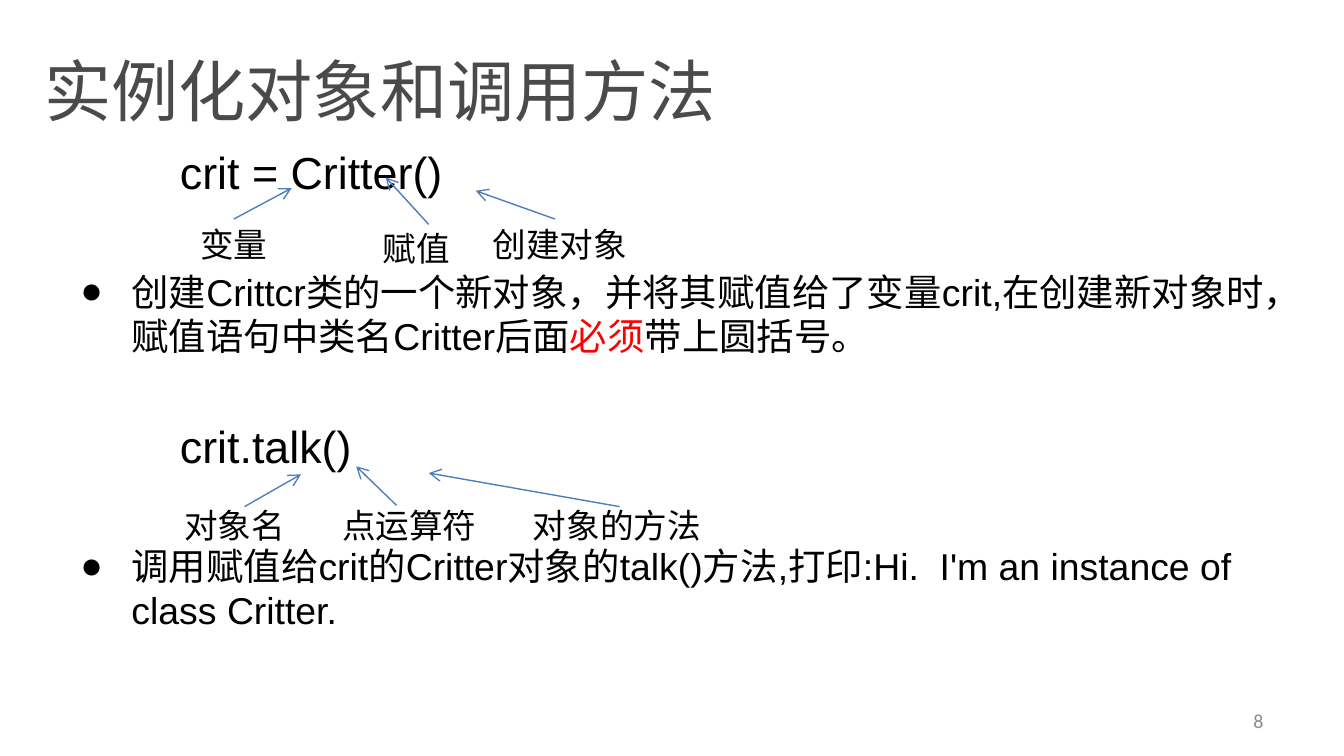
from dataclasses import dataclass

from lxml.etree import SubElement
from pptx import Presentation
from pptx.dml.color import RGBColor
from pptx.enum.shapes import MSO_CONNECTOR
from pptx.enum.text import MSO_ANCHOR, PP_ALIGN
from pptx.oxml.ns import qn
from pptx.util import Inches, Pt

COLORS = {
    "text": "000000",
    "title": "4A4A4A",
    "accent": "FF0000",
    "arrow": "4B7EBC",
    "number": "8C8C8C",
}
LABEL_FORMAT = {"size": Pt(18), "name": "Calibri"}
CODE_FORMAT = {"size": Pt(24), "name": "Arial"}
BODY_FORMAT = {"size": Pt(20), "name": "Arial"}
TITLE_FORMAT = {"size": Pt(36), "name": "Noto Sans CJK SC"}
NUMBER_FORMAT = {"size": Pt(10.7), "name": "Calibri"}
CODE_INDENT = 0.74
BULLET_INDENT = 0.38


@dataclass
class Label:
    """A caption with an arrow that points at a part of the code."""

    text: str
    frame: tuple[float, float, float, float]
    start: tuple[float, float]
    end: tuple[float, float]


@dataclass
class Paragraph:
    """A code line or a bulleted explanation, as (text, color) spans."""

    spans: list[tuple[str, str]]
    space_before: float
    is_code: bool = False


LABELS = [
    Label("变量", (1.32, 1.63, 0.84, 0.37), (1.74, 1.63), (2.17, 1.40)),
    Label("赋值", (2.65, 1.63, 0.89, 0.43), (3.19, 1.67), (2.87, 1.32)),
    Label("创建对象", (3.45, 1.63, 1.43, 0.37), (4.13, 1.63), (3.54, 1.42)),
    Label("对象名", (1.19, 3.69, 1.11, 0.43), (1.82, 3.77), (2.24, 3.53)),
    Label("点运算符", (2.42, 3.69, 1.25, 0.43), (2.95, 3.76), (2.65, 3.47)),
    Label("对象的方法", (3.67, 3.69, 1.84, 0.43), (4.61, 3.77), (3.19, 3.52)),
]
PARAGRAPHS = [
    Paragraph([("crit = Critter()", "text")], 5.5, is_code=True),
    Paragraph(
        [
            ("创建Crittcr类的一个新对象，并将其赋值给了变量crit,"
             "在创建新对象时，赋值语句中类名Critter后面", "text"),
            ("必须", "accent"),
            ("带上圆括号。", "text"),
        ],
        37.5,
    ),
    Paragraph([("crit.talk()", "text")], 32.5, is_code=True),
    Paragraph(
        [("调用赋值给crit的Critter对象的talk()方法,打印:Hi.  "
          "I'm an instance of class Critter.", "text")],
        37.5,
    ),
]


def add_span(para, text: str, color: str, font_format: dict) -> None:
    """Append one formatted run to a paragraph."""
    span = para.add_run()
    span.text = text
    for name, value in font_format.items():
        setattr(span.font, name, value)
    span.font.color.rgb = RGBColor.from_string(COLORS[color])


def add_box(page, frame: tuple, anchor=MSO_ANCHOR.TOP):
    """Add a wrapping text box and return its text frame."""
    box = page.shapes.add_textbox(*(Inches(length) for length in frame))
    box.text_frame.word_wrap = True
    box.text_frame.vertical_anchor = anchor
    return box.text_frame


def add_line_of_text(page, frame: tuple, text: str, color: str, font_format: dict,
                     para_format: dict, anchor=MSO_ANCHOR.MIDDLE) -> None:
    """Add a text box that holds a single paragraph."""
    para = add_box(page, frame, anchor).paragraphs[0]
    for name, value in para_format.items():
        setattr(para, name, value)
    add_span(para, text, color, font_format)


def add_arrow(page, start: tuple, end: tuple) -> None:
    """Draw a thin line with an open arrowhead at its end."""
    points = (Inches(length) for length in start + end)
    arrow = page.shapes.add_connector(MSO_CONNECTOR.STRAIGHT, *points)
    arrow.line.color.rgb = RGBColor.from_string(COLORS["arrow"])
    arrow.line.width = Pt(0.75)
    SubElement(arrow.line._get_or_add_ln(), qn("a:tailEnd"), type="arrow")
    SubElement(arrow._element.spPr, qn("a:effectLst"))


def add_body(page) -> None:
    """Write the code lines and their bulleted explanations."""
    frame = add_box(page, (0.5, 1.03, 9.32, 4.57))
    for index, item in enumerate(PARAGRAPHS):
        para = frame.add_paragraph() if index else frame.paragraphs[0]
        para.space_before = Pt(item.space_before)
        properties = para._p.get_or_add_pPr()
        if item.is_code:
            properties.set("marL", str(Inches(CODE_INDENT)))
        else:
            properties.set("marL", str(Inches(BULLET_INDENT)))
            properties.set("indent", str(-Inches(BULLET_INDENT)))
            SubElement(properties, qn("a:buFont"), typeface="Arial")
            SubElement(properties, qn("a:buChar"), char="●")
        for text, color in item.spans:
            add_span(para, text, color, CODE_FORMAT if item.is_code else BODY_FORMAT)


def main() -> None:
    """Build the slide and save it."""
    deck = Presentation()
    deck.slide_width = Inches(10)
    deck.slide_height = deck.slide_width * 9 // 16
    page = deck.slides.add_slide(deck.slide_layouts[6])
    add_body(page)
    add_line_of_text(page, (7.17, 5.21, 2.33, 0.3), "8", "number",
                     NUMBER_FORMAT, {"alignment": PP_ALIGN.RIGHT})
    add_line_of_text(page, (0.23, 0.02, 6.13, 1.01), "实例化对象和调用方法", "title",
                     TITLE_FORMAT, {"line_spacing": 1.5}, MSO_ANCHOR.TOP)
    for label in LABELS:
        add_line_of_text(page, label.frame, label.text, "text",
                         LABEL_FORMAT, {"alignment": PP_ALIGN.CENTER})
        add_arrow(page, label.start, label.end)
    deck.save("out.pptx")


main()
